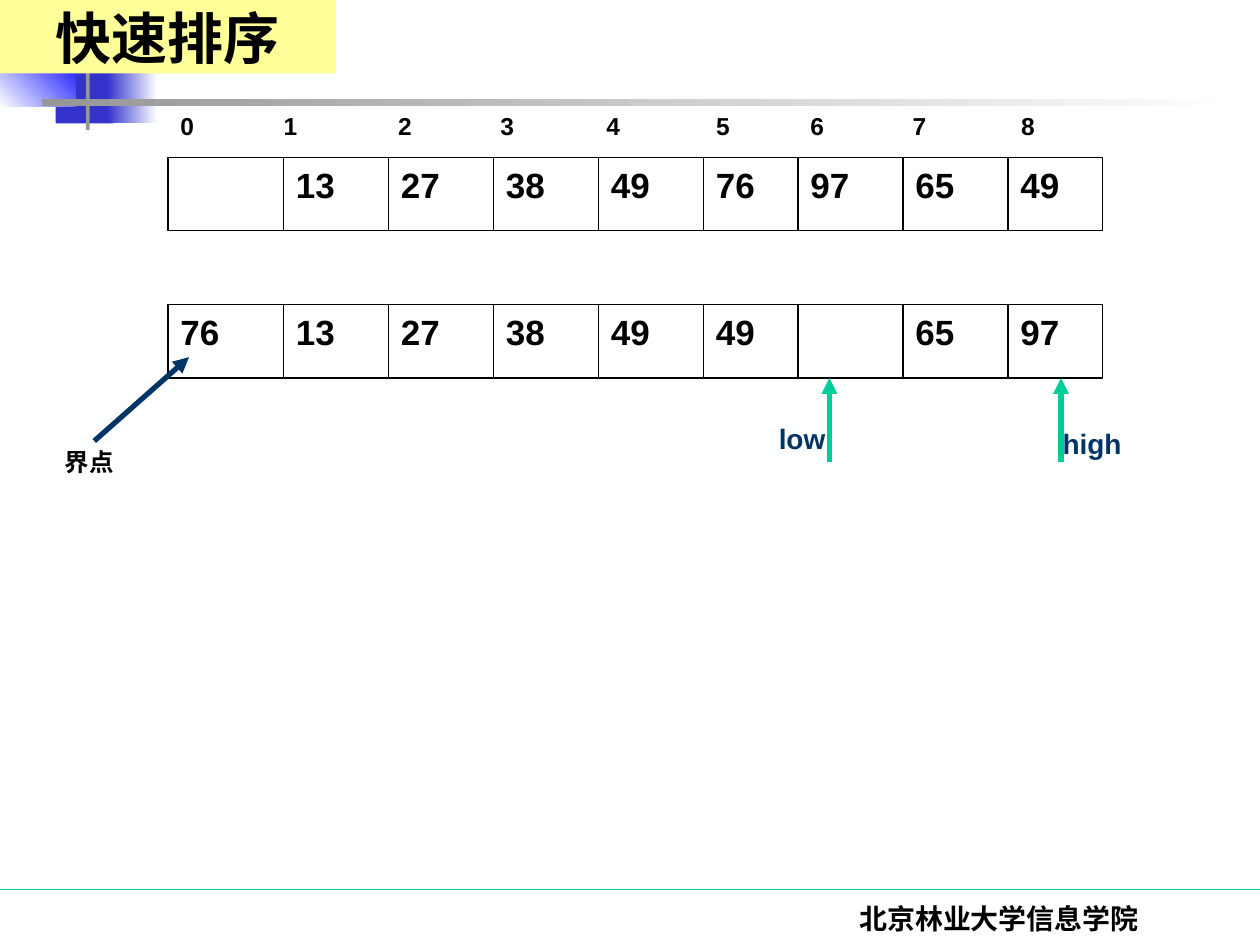
from dataclasses import dataclass
from itertools import accumulate

from lxml import etree
from pptx import Presentation
from pptx.dml.color import RGBColor
from pptx.enum.shapes import MSO_CONNECTOR, MSO_SHAPE
from pptx.enum.text import MSO_ANCHOR, MSO_AUTO_SIZE, PP_ALIGN
from pptx.oxml.ns import qn
from pptx.util import Cm, Pt

RECT = MSO_SHAPE.RECTANGLE
LINE = MSO_CONNECTOR.STRAIGHT
MIDDLE = MSO_ANCHOR.MIDDLE
FIXED = MSO_AUTO_SIZE.NONE
LEFT, CENTER = PP_ALIGN.LEFT, PP_ALIGN.CENTER


@dataclass(frozen=True)
class Theme:
    back: str = "FEFFFF"
    paper: str = "FFFFFF"
    ink: str = "000000"
    navy: str = "003366"
    green: str = "00CC99"
    blue: str = "3333CC"
    bright: str = "0000FF"
    gray: str = "969696"
    banner: str = "FFFF99"
    sans: str = "Arial"
    serif: str = "Times New Roman"
    title: int = 32
    value: int = 20
    note: int = 16
    small: int = 14
    thin: float = 0.75
    thick: float = 3


@dataclass(frozen=True)
class Box:
    x: float
    y: float
    w: float
    h: float

    def place(self) -> tuple:
        return Cm(self.x), Cm(self.y), Cm(self.w), Cm(self.h)


@dataclass(frozen=True)
class Block:
    box: Box
    start: str
    end: str = ""
    angle: int = 0


@dataclass(frozen=True)
class Label:
    box: Box
    text: str
    size: int
    color: str
    font: str
    align: PP_ALIGN = LEFT


@dataclass(frozen=True)
class Stroke:
    x1: float
    y1: float
    x2: float
    y2: float
    color: str
    width: float
    arrow: bool = False


@dataclass(frozen=True)
class Row:
    top: float
    values: tuple


T = Theme()

# Cell widths are counted in twelfths of an inch.
UNIT = 2.54 / 12
CELLS = (11, 10, 10, 10, 10, 9, 10, 10, 9)
EDGES = [n * UNIT for n in accumulate(CELLS, initial=16)]
SPAN = EDGES[-1] - EDGES[0]
TALL = 1.48

ROWS = (
    Row(3.17, ("", "13", "27", "38", "49", "76", "97", "65", "49")),
    Row(6.14, ("76", "13", "27", "38", "49", "49", "", "65", "97")),
)
STOPS = (2.08, 4.39, 6.45, 8.59, 10.8, 12.7, 14.76, 16.95)
BLOCKS = (
    Block(Box(1.12, 1.17, 1.17, 1.32), T.blue),
    Block(Box(2.16, 1.17, 1.01, 1.32), T.blue, T.back),
    Block(Box(0, 0.97, 1.53, 1.18), T.back, T.bright, 45),
    Block(Box(1.73, 0, 0.08, 2.62), T.gray),
    Block(Box(0.84, 1.99, 24.15, 0.14), T.gray, T.back),
)
ARROWS = (
    Stroke(21.39, 9.32, 21.39, 7.62, T.green, T.thick, True),
    Stroke(16.72, 9.32, 16.72, 7.62, T.green, T.thick, True),
    Stroke(1.9, 8.89, 3.81, 7.2, T.navy, T.thick, True),
)
LABELS = (
    Label(Box(21.17, 8.47, 2.33, 0.94), "high", T.note, T.navy, T.sans),
    Label(Box(15.45, 8.38, 2.33, 0.94), "low", T.note, T.navy, T.sans),
    Label(Box(1.06, 8.89, 2.12, 0.86), "界点", T.small, T.ink, T.sans),
    Label(Box(14.88, 18.05, 10.52, 0.97), "北京林业大学信息学院",
          T.note, T.ink, T.serif, CENTER),
)


def rgb(code: str) -> RGBColor:
    return RGBColor.from_string(code)


def write(para, item: Label) -> None:
    para.alignment = item.align
    run = para.add_run()
    run.text = item.text
    font = run.font
    font.name, font.size, font.bold = item.font, Pt(item.size), True
    font.color.rgb = rgb(item.color)


def add_label(slide, item: Label):
    frame = slide.shapes.add_textbox(*item.box.place()).text_frame
    frame.word_wrap = True
    para = frame.paragraphs[0]
    write(para, item)
    return para


def add_block(slide, item: Block):
    shape = slide.shapes.add_shape(RECT, *item.box.place())
    shape.shadow.inherit = False
    shape.line.fill.background()
    if item.end:
        shape.fill.gradient()
        shape.fill.gradient_angle = item.angle
        for stop, code in zip(shape.fill.gradient_stops, (item.start, item.end)):
            stop.color.rgb = rgb(code)
    else:
        shape.fill.solid()
        shape.fill.fore_color.rgb = rgb(item.start)
    return shape


def add_stroke(slide, item: Stroke) -> None:
    link = slide.shapes.add_connector(
        LINE, Cm(item.x1), Cm(item.y1), Cm(item.x2), Cm(item.y2))
    link.line.color.rgb = rgb(item.color)
    link.line.width = Pt(item.width)
    props = link.element.spPr
    if item.arrow:
        etree.SubElement(props.find(qn("a:ln")), qn("a:tailEnd"), type="triangle")
    etree.SubElement(props, qn("a:effectLst"))


def add_row(slide, row: Row) -> None:
    frame = add_block(slide, Block(Box(EDGES[0], row.top, SPAN, TALL), T.paper))
    frame.line.color.rgb = rgb(T.ink)
    frame.line.width = Pt(T.thin)
    for x in EDGES[1:-1]:
        add_stroke(slide, Stroke(x, row.top, x, row.top + TALL, T.ink, T.thin))
    for x, text in zip(EDGES, row.values):
        if text:
            add_label(slide, Label(Box(x, row.top, 1.69, 1.11), text,
                                   T.value, T.ink, T.sans))


def add_index(slide) -> None:
    """Number the cells in one line, with a tab stop for each column."""
    text = "\t".join(str(n) for n in range(len(CELLS)))
    para = add_label(slide, Label(Box(EDGES[0], 2.12, SPAN, 0.86), text,
                                  T.small, T.ink, T.sans))
    tabs = etree.SubElement(para._p.get_or_add_pPr(), qn("a:tabLst"))
    for stop in STOPS:
        etree.SubElement(tabs, qn("a:tab"), pos=str(Cm(stop)), algn="l")


def set_title(slide) -> None:
    """Fill the title as a banner and bring it in front of the ornament."""
    title = slide.shapes.title
    box = Box(0, 0, 6.77, 1.48)
    title.left, title.top, title.width, title.height = box.place()
    title.fill.solid()
    title.fill.fore_color.rgb = rgb(T.banner)
    frame = title.text_frame
    frame.auto_size = FIXED
    frame.vertical_anchor = MIDDLE
    write(frame.paragraphs[0],
          Label(box, "快速排序", T.title, T.ink, T.serif, CENTER))
    title.element.getparent().append(title.element)


def main() -> None:
    deck = Presentation()
    deck.slide_width, deck.slide_height = Cm(25.4), Cm(19.05)
    slide = deck.slides.add_slide(deck.slide_layouts[5])
    slide.background.fill.solid()
    slide.background.fill.fore_color.rgb = rgb(T.back)
    add_stroke(slide, Stroke(0, 17.93, 25.4, 17.93, T.green, T.thin))
    for block in BLOCKS:
        add_block(slide, block)
    for row in ROWS:
        add_row(slide, row)
    add_index(slide)
    for arrow in ARROWS:
        add_stroke(slide, arrow)
    for label in LABELS:
        add_label(slide, label)
    set_title(slide)
    deck.save("out.pptx")


if __name__ == "__main__":
    main()
